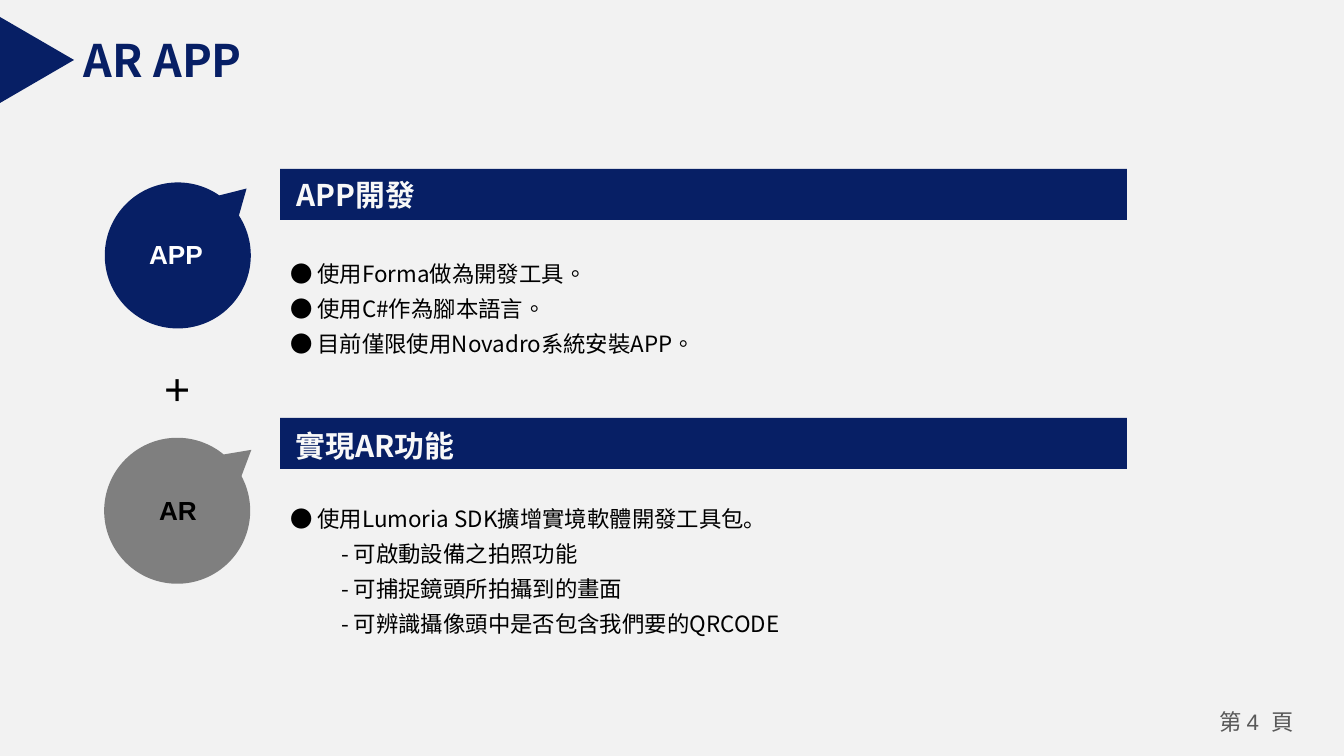
from math import atan2, cos, pi, sin, tan

from lxml.etree import SubElement
from pptx import Presentation
from pptx.dml.color import RGBColor
from pptx.enum.shapes import MSO_SHAPE
from pptx.enum.text import MSO_ANCHOR, MSO_AUTO_SIZE, PP_ALIGN
from pptx.oxml.ns import qn
from pptx.util import Pt

NAVY, GRAY, BLACK, WHITE = "071F65", "7F7F7F", "000000", "FFFFFF"
SANS, ARIAL = "Noto Sans CJK SC", "Arial"
RADIUS, TAIL_HEIGHT, TAIL_HALF = 73, 96, 14


def px(n):
    return round(n * 914400 / 134.4)


def rgb(value):
    return RGBColor.from_string(value)


def paint(s, color):
    s.shadow.inherit = False
    s.fill.solid()
    s.fill.fore_color.rgb = rgb(color)
    s.line.fill.background()


def add_run(p, text, size, color, font=SANS, bold=False, lang="en-US"):
    r = p.add_run()
    r.text = text
    r.font.size = Pt(size)
    r.font.bold = bold
    r.font.color.rgb = rgb(color)
    r.font.name = font
    rPr = r.font._element
    rPr.set("lang", lang)
    SubElement(rPr, qn("a:ea"), typeface=font)


def add_box(shapes, box, inset=(13, 7), wrap=True, grow=True,
            align=PP_ALIGN.LEFT, anchor=MSO_ANCHOR.TOP):
    """Add an empty text box and return its text frame."""
    tf = shapes.add_textbox(*map(px, box)).text_frame
    tf.auto_size = MSO_AUTO_SIZE.SHAPE_TO_FIT_TEXT if grow else MSO_AUTO_SIZE.NONE
    tf.word_wrap = wrap
    tf.vertical_anchor = anchor
    tf.margin_left = tf.margin_right = px(inset[0])
    tf.margin_top = tf.margin_bottom = px(inset[1])
    tf.paragraphs[0].alignment = align
    return tf


def add_pointer(shapes):
    s = shapes.add_shape(MSO_SHAPE.ISOSCELES_TRIANGLE, *map(px, (-6, 23, 86, 74)))
    s.rotation = 90
    paint(s, NAVY)


def add_header(shapes, text, bar_top, text_box):
    group = shapes.add_group_shape().shapes
    bar = group.add_shape(MSO_SHAPE.RECTANGLE, *map(px, (280, bar_top, 847, 51)))
    paint(bar, NAVY)
    tf = add_box(group, text_box)
    add_run(tf.paragraphs[0], text, 16, "F8F8F8", bold=True)


def add_list(shapes, top, height, items, lang):
    """Add lines given as (indent in px, text)."""
    tf = add_box(shapes, (280, top, 847, height), inset=(10, 5))
    for i, (indent, text) in enumerate(items):
        p = tf.add_paragraph() if i else tf.paragraphs[0]
        p.line_spacing = 1.3
        if indent:
            p._p.get_or_add_pPr().set("marL", str(px(indent)))
        add_run(p, text, 12, BLACK, lang=lang)


def bend(line, start, end):
    """Turn a straight segment into an arc about the circle's centre."""
    first, last = (atan2(y, x) for x, y in (start, end))
    reach = 4 / 3 * tan((last - first) % (2 * pi) / 4)
    controls = [
        (start[0] - reach * RADIUS * sin(first), start[1] + reach * RADIUS * cos(first)),
        (end[0] + reach * RADIUS * sin(last), end[1] - reach * RADIUS * cos(last)),
    ]
    line.tag = qn("a:cubicBezTo")
    for i, (x, y) in enumerate(controls):
        pt = line.makeelement(qn("a:pt"), {"x": str(px(x + RADIUS)),
                                           "y": str(px(y + TAIL_HEIGHT))})
        line.insert(i, pt)


def add_bubble(shapes, left, top, rotation, fill):
    """Add a circle with a pointed tail, upright before it is rotated."""
    shoulder = -(RADIUS ** 2 - TAIL_HALF ** 2) ** 0.5
    rim = [(TAIL_HALF, shoulder), (RADIUS, 0), (0, RADIUS), (-RADIUS, 0),
           (-TAIL_HALF, shoulder)]
    cx, cy = left + RADIUS, top + TAIL_HEIGHT
    builder = shapes.build_freeform(px(cx), px(top))
    builder.add_line_segments([(px(cx + x), px(cy + y)) for x, y in rim], close=True)
    s = builder.convert_to_shape()
    lines = list(s._element.iter(qn("a:lnTo")))
    for line, start, end in zip(lines[1:], rim, rim[1:]):
        bend(line, start, end)
    s.rotation = rotation
    paint(s, fill)


def add_label(shapes, text, left, top, color):
    tf = add_box(shapes, (left, top, 94, 54), inset=(9, 5), wrap=False, grow=False,
                 align=PP_ALIGN.CENTER, anchor=MSO_ANCHOR.MIDDLE)
    add_run(tf.paragraphs[0], text, 14, color, ARIAL, True)


def main():
    prs = Presentation()
    prs.slide_width, prs.slide_height = px(1344), px(756)
    slide = prs.slides.add_slide(prs.slide_layouts[6])
    slide.background.fill.solid()
    slide.background.fill.fore_color.rgb = rgb("F2F2F2")
    shapes = slide.shapes

    page = add_box(shapes, (1196, 703, 121, 40), inset=(9, 5), grow=False,
                   align=PP_ALIGN.CENTER)
    add_run(page.paragraphs[0], "第 ", 12, "595959")
    add_run(page.paragraphs[0], "4  頁", 12, "595959", ARIAL)

    title = add_box(shapes, (71, 26, 329, 67))
    add_run(title.paragraphs[0], "AR APP", 24, NAVY, bold=True)
    add_pointer(shapes)

    add_header(shapes, "APP開發", 169, (284, 170, 681, 50))
    add_header(shapes, "實現AR功能", 418, (283, 421, 489, 50))

    add_list(shapes, 247, 113, [
        (0, "● 使用Forma做為開發工具。"),
        (0, "● 使用C#作為腳本語言。"),
        (0, "● 目前僅限使用Novadro系統安裝APP。"),
    ], "zh-TW")
    add_list(shapes, 492, 152, [
        (0, "● 使用Lumoria SDK擴增實境軟體開發工具包。"),
        (51, "- 可啟動設備之拍照功能"),
        (51, "- 可捕捉鏡頭所拍攝到的畫面"),
        (51, "- 可辨識攝像頭中是否包含我們要的QRCODE"),
    ], "zh-CN")

    add_bubble(shapes, 113, 163, 45.8, NAVY)
    add_label(shapes, "APP", 129, 227, WHITE)
    add_bubble(shapes, 113, 419, 50.6, GRAY)
    add_label(shapes, "AR", 131, 483, BLACK)

    plus = add_box(shapes, (151, 354, 54, 67), wrap=False)
    add_run(plus.paragraphs[0], "+", 24, BLACK, ARIAL)

    prs.save("out.pptx")


if __name__ == "__main__":
    main()
